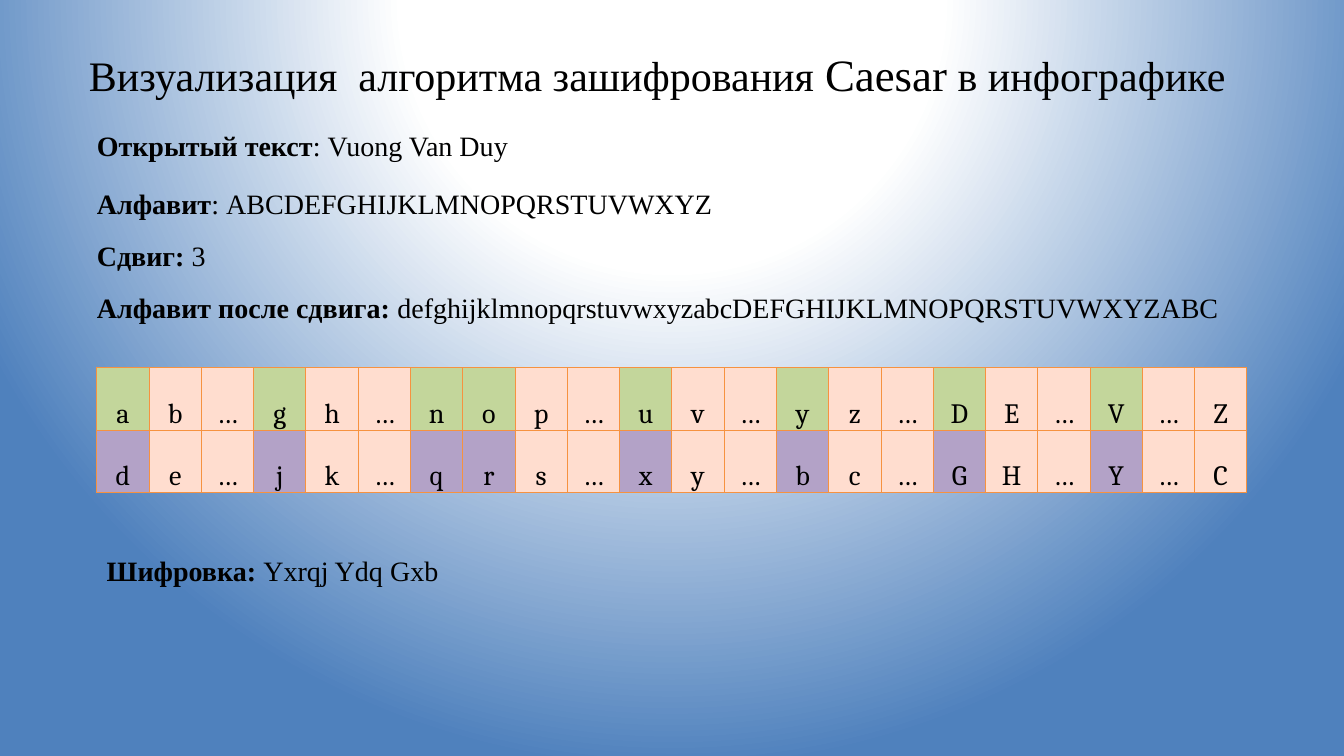
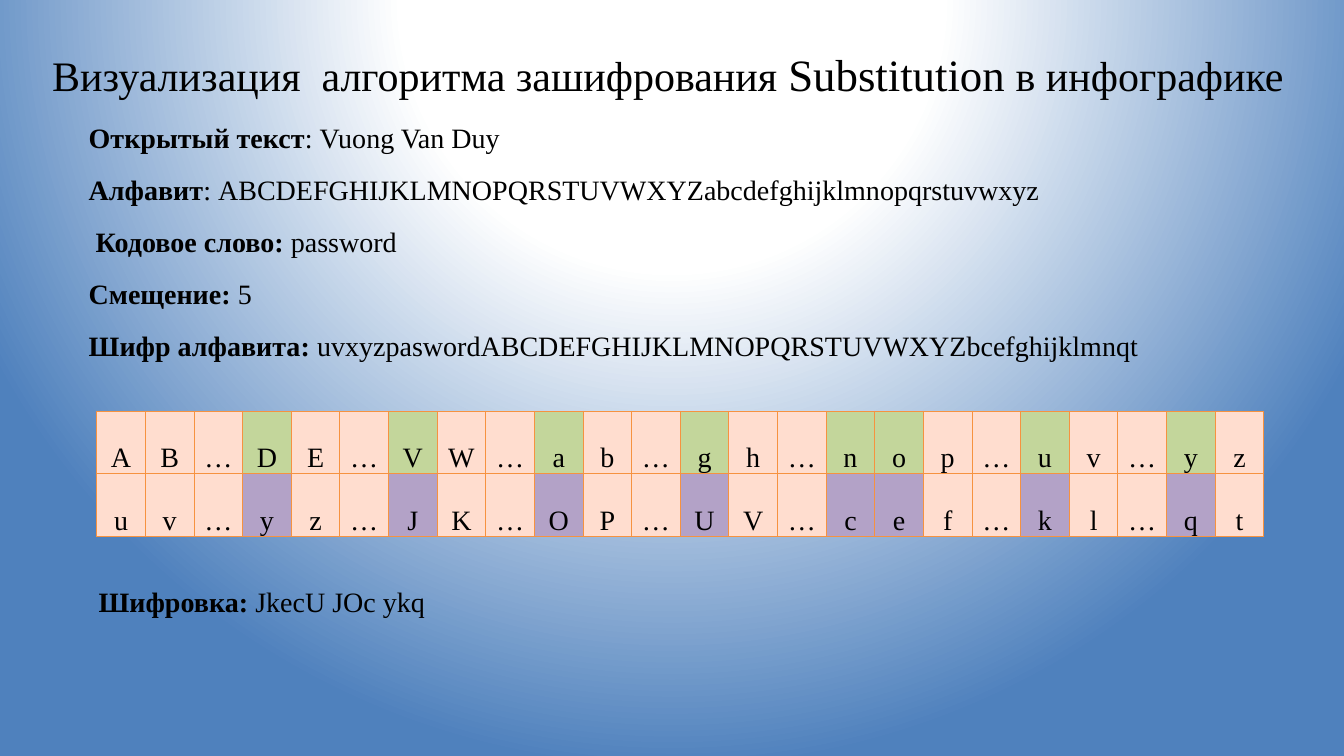
from lxml import etree
from pptx import Presentation
from pptx.dml.color import RGBColor
from pptx.enum.text import MSO_ANCHOR, PP_ALIGN
from pptx.oxml import parse_xml
from pptx.oxml.ns import nsdecls, qn
from pptx.util import Inches, Pt

CENTER = PP_ALIGN.CENTER
BOTTOM = MSO_ANCHOR.BOTTOM

BLACK = RGBColor(0x00, 0x00, 0x00)
WHITE = RGBColor(0xFF, 0xFF, 0xFF)
BLUE = RGBColor(0x4F, 0x81, 0xBD)
GREEN = RGBColor(0xC3, 0xD6, 0x9B)
PURPLE = RGBColor(0xB3, 0xA2, 0xC7)
PEACH = RGBColor(0xFF, 0xDD, 0xCF)
ORANGE = RGBColor(0xF6, 0x92, 0x40)

SERIF = "Times New Roman"
PLAIN_TEXT = "Vuong Van Duy"
ROW_HEIGHT = 0.62

# Each box is left, top, width, height in inches; each line is a bold label and its value
CAESAR = {
    "title": ("Caesar", (0.5, 0.46, 12.04, 0.54)),
    "facts": [
        ((0.96, 1.28, 11.41, 0.34), [("Открытый текст", ": " + PLAIN_TEXT)]),
        ((0.96, 1.85, 11.58, 1.35), [
            ("Алфавит", ": ABCDEFGHIJKLMNOPQRSTUVWXYZ"),
            ("Сдвиг: ", "3"),
            ("Алфавит после сдвига: ",
             "defghijklmnopqrstuvwxyzabcDEFGHIJKLMNOPQRSTUVWXYZABC"),
        ]),
    ],
    "table": ((0.96, 3.65, 11.41), "Cambria",
              "a b … g h … n o p … u v … y z … D E … V … Z",
              "d e … j k … q r s … x y … b c … G H … Y … C"),
    "cipher": ((0.96, 5.44, 11.58, 0.44), "Yxrqj Ydq Gxb"),
}
SUBSTITUTION = {
    "title": ("Substitution", (0.25, 0.46, 12.75, 1.04)),
    "facts": [
        ((0.88, 1.2, 11.58, 2.36), [
            ("Открытый текст", ": " + PLAIN_TEXT),
            ("Алфавит", ": ABCDEFGHIJKLMNOPQRSTUVWXYZabcdefghijklmnopqrstuvwxyz"),
            (" Кодовое слово: ", "password"),
            ("Смещение:", " 5"),
            ("Шифр алфавита: ",
             "uvxyzpaswordABCDEFGHIJKLMNOPQRSTUVWXYZbcefghijklmnqt"),
        ]),
    ],
    "table": ((0.96, 4.08, 11.58), SERIF,
              "A B … D E … V W … a b … g h … n o p … u v … y z",
              "u v … y z … J K … O P … U V … c e f … k l … q t"),
    "cipher": ((0.88, 5.75, 11.58, 0.44), "JkecU JOc ykq"),
}


def set_background(master):
    """Give all slides a round glow centred above the middle."""
    master.background.fill.solid()
    properties = master.element.find(".//" + qn("p:bgPr"))
    stops = "".join(
        f'<a:gs pos="{percent * 1000}"><a:srgbClr val="{color}"/></a:gs>'
        for percent, color in ((0, WHITE), (35, WHITE), (100, BLUE)))
    gradient = parse_xml(
        f'<a:gradFill {nsdecls("a")} rotWithShape="1"><a:gsLst>{stops}</a:gsLst>'
        '<a:path path="circle"><a:fillToRect l="50000" t="-80000" r="50000"'
        ' b="180000"/></a:path></a:gradFill>')
    properties.replace(properties.find(qn("a:solidFill")), gradient)


def set_font(paragraph, size, name=SERIF):
    font = paragraph.font
    font.name, font.size, font.color.rgb = name, Pt(size), BLACK


def add_text_frame(slide, box, inset=True):
    frame = slide.shapes.add_textbox(*map(Inches, box)).text_frame
    frame.word_wrap = True
    if not inset:
        frame.margin_left = frame.margin_top = 0
        frame.margin_right = frame.margin_bottom = 0
    return frame


def add_title(slide, cipher_name, box):
    paragraph = add_text_frame(slide, box, inset=False).paragraphs[0]
    paragraph.alignment = CENTER
    set_font(paragraph, 30)
    for text in ("Визуализация  алгоритма зашифрования ", cipher_name,
                 " в инфографике"):
        run = paragraph.add_run()
        run.text = text
        if text == cipher_name:
            run.font.size = Pt(32)


def add_facts(slide, box, lines, inset=False):
    """Lines of a bold label followed by its value."""
    frame = add_text_frame(slide, box, inset)
    for index, (label, value) in enumerate(lines):
        paragraph = frame.add_paragraph() if index else frame.paragraphs[0]
        paragraph.space_after = Pt(13)
        set_font(paragraph, 20)
        for text, bold in ((label, True), (value, False)):
            run = paragraph.add_run()
            run.text = text
            run.font.bold = bold


def add_borders(cell):
    properties = cell._tc.get_or_add_tcPr()
    for side in ("a:lnL", "a:lnR", "a:lnT", "a:lnB"):
        line = etree.SubElement(properties, qn(side), w=str(Pt(0.75)))
        fill = etree.SubElement(line, qn("a:solidFill"))
        etree.SubElement(fill, qn("a:srgbClr"), val=str(ORANGE))


def fill_cell(cell, letter, font_name, color):
    add_borders(cell)
    cell.fill.solid()
    cell.fill.fore_color.rgb = color
    cell.vertical_anchor = BOTTOM
    cell.margin_left = cell.margin_right = cell.margin_top = Inches(0.01)
    cell.margin_bottom = 0
    cell.text = letter
    paragraph = cell.text_frame.paragraphs[0]
    paragraph.alignment = CENTER
    set_font(paragraph, 20, font_name)


def add_letter_table(slide, box, font_name, plain, cipher):
    """Plain letters over cipher letters; those of the message are coloured."""
    left, top, width = box
    rows = (plain.split(), cipher.split())
    count = len(rows[0])
    table = slide.shapes.add_table(
        2, count, Inches(left), Inches(top), Inches(width),
        Inches(2 * ROW_HEIGHT)).table
    table.first_row = table.horz_banding = False
    for column in table.columns:
        column.width = Inches(width / count)
    for index, letters in enumerate(zip(*rows)):
        used = letters[0] in PLAIN_TEXT
        for row, (letter, mark) in enumerate(zip(letters, (GREEN, PURPLE))):
            fill_cell(table.cell(row, index), letter, font_name,
                      mark if used else PEACH)


def add_cipher_slide(presentation, content):
    slide = presentation.slides.add_slide(presentation.slide_layouts[6])
    add_title(slide, *content["title"])
    for box, lines in content["facts"]:
        add_facts(slide, box, lines)
    add_letter_table(slide, *content["table"])
    box, result = content["cipher"]
    add_facts(slide, box, [("Шифровка: ", result)], inset=True)


def main():
    presentation = Presentation()
    presentation.slide_width = Inches(13.33)
    presentation.slide_height = Inches(7.5)
    set_background(presentation.slide_master)
    for content in (CAESAR, SUBSTITUTION):
        add_cipher_slide(presentation, content)
    presentation.save("out.pptx")


if __name__ == "__main__":
    main()
